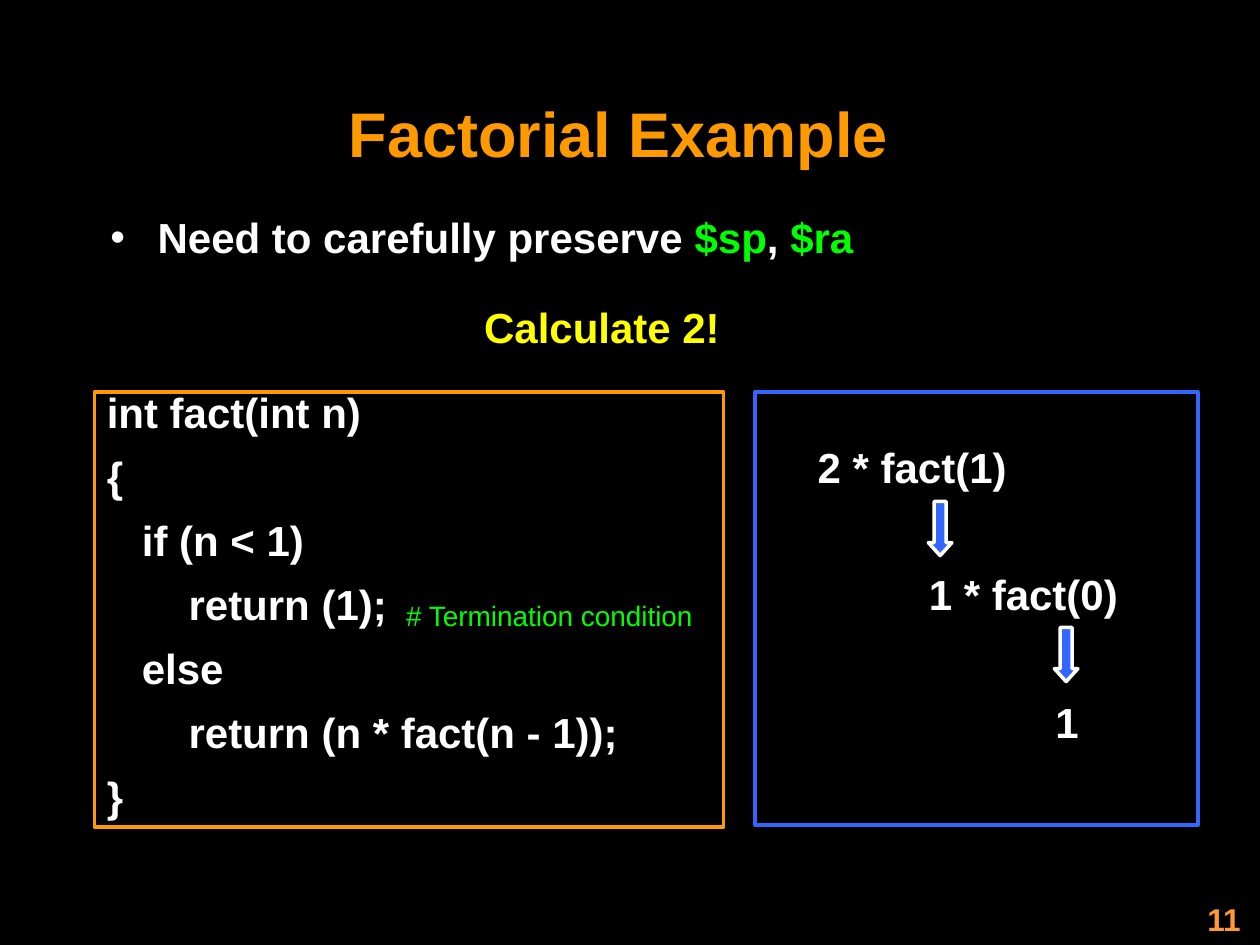
import pptx
import pptx.dml.color
import pptx.enum.shapes
import pptx.enum.text
import pptx.oxml
import pptx.oxml.ns
import pptx.util

Pt = pptx.util.Pt
ALIGN = pptx.enum.text.PP_ALIGN
ANCHOR = pptx.enum.text.MSO_ANCHOR
SHAPE = pptx.enum.shapes.MSO_SHAPE
COLORS = {
    "background": "000000",
    "title": "FF9900",
    "text": "FFFFFF",
    "register": "00FF00",
    "heading": "FFFF00",
    "blue": "3366FF",
    "number": "FF9933",
}


def rgb(name):
    return pptx.dml.color.RGBColor.from_string(COLORS[name])


def set_attributes(target, values):
    for name, value in values.items():
        setattr(target, name, value)


class SlideBuilder:
    font_name = "Arial"
    line_width = Pt(2)

    def __init__(self, presentation):
        self.slide = presentation.slides.add_slide(presentation.slide_layouts[6])
        fill = self.slide.background.fill
        fill.solid()
        fill.fore_color.rgb = rgb("background")

    def shape(self, kind, box, line, fill=None):
        shape = self.slide.shapes.add_shape(kind, *map(Pt, box))
        shape.shadow.inherit = False
        shape.line.color.rgb = rgb(line)
        shape.line.width = self.line_width
        if fill:
            shape.fill.solid()
            shape.fill.fore_color.rgb = rgb(fill)
        else:
            shape.fill.background()
        return shape

    def arrow(self, left, top):
        shape = self.shape(SHAPE.DOWN_ARROW, (left, top, 13.5, 31), "text", "blue")
        shape.adjustments[0], shape.adjustments[1] = 0.5, 0.55

    def fill_paragraph(self, paragraph, runs, size=24, bold=True, **layout):
        """Fill a paragraph from (text, colour name) pairs."""
        set_attributes(paragraph, layout)
        for text, color in runs:
            run = paragraph.add_run()
            run.text = text
            set_attributes(run.font, {"name": self.font_name, "size": Pt(size), "bold": bold})
            run.font.color.rgb = rgb(color)

    def text(self, box, runs, wrap=False, anchor=ANCHOR.TOP, **style):
        frame = self.slide.shapes.add_textbox(*map(Pt, box)).text_frame
        set_attributes(frame, {"word_wrap": wrap, "vertical_anchor": anchor})
        paragraph = frame.paragraphs[0]
        self.fill_paragraph(paragraph, runs, **style)
        return paragraph

    def label(self, box, text, color="text", space=15, **style):
        self.text(box, [(text, color)], alignment=ALIGN.CENTER, space_before=Pt(space), **style)

    def bullet(self, box, runs):
        paragraph = self.text(box, runs, wrap=True, space_before=Pt(6))
        properties = paragraph._p.get_or_add_pPr()
        properties.set("marL", str(Pt(27)))
        properties.set("indent", str(-Pt(27)))
        namespace = pptx.oxml.ns.nsdecls("a")
        for xml in (
            f'<a:buClr {namespace}><a:srgbClr val="{COLORS["text"]}"/></a:buClr>',
            f'<a:buFont {namespace} typeface="{self.font_name}"/>',
            f'<a:buChar {namespace} char="•"/>',
        ):
            properties.append(pptx.oxml.parse_xml(xml))

    def code(self, box, lines):
        """Draw a framed listing from (indent in points, text) pairs."""
        frame = self.shape(SHAPE.RECTANGLE, box, "title").text_frame
        set_attributes(frame, {"word_wrap": True, "vertical_anchor": ANCHOR.TOP})
        for index, (indent, text) in enumerate(lines):
            paragraph = frame.add_paragraph() if index else frame.paragraphs[0]
            self.fill_paragraph(paragraph, [(text, "text")], alignment=ALIGN.LEFT,
                                line_spacing=0.75, space_before=Pt(15))
            paragraph._p.get_or_add_pPr().set("marL", str(Pt(indent)))


def main():
    presentation = pptx.Presentation()
    set_attributes(presentation, {"slide_width": Pt(720), "slide_height": Pt(540)})
    builder = SlideBuilder(presentation)

    builder.text((52.5, 42, 612, 67), [("Factorial Example ", "title")], wrap=True,
                 anchor=ANCHOR.MIDDLE, size=36, alignment=ALIGN.CENTER)
    builder.bullet((56, 117.5, 612, 388), [
        ("Need to carefully preserve ", "text"), ("$sp", "register"),
        (", ", "text"), ("$ra", "register"),
    ])
    builder.code((54, 224, 359.5, 248.5), [
        (0, "int fact(int n)"),
        (0, "{"),
        (20, "if (n < 1)"),
        (46.7, "return (1);"),
        (20, "else"),
        (46.7, "return (n * fact(n - 1));"),
        (0, "}"),
    ])
    builder.label((224, 338.5, 180, 27), "# Termination condition", "register",
                  space=10, size=16, bold=False)
    builder.label((269.5, 169, 149, 36), "Calculate 2!", "heading")

    calls = [(460, 122.5, "2 * fact(1)"), (523.5, 122.5, "1 * fact(0)"), (596, 27.5, "1")]
    for step, (left, width, text) in enumerate(calls):
        builder.label((left, 248.5 + 73 * step, width, 36), text)
    for step in range(len(calls) - 1):
        builder.arrow(530.5 + 72 * step, 286.5 + 72 * step)
    builder.shape(SHAPE.RECTANGLE, (431.5, 224, 253, 247.5), "blue")

    builder.text((566, 510.5, 150, 36), [("11", "number")], wrap=True,
                 size=18, alignment=ALIGN.RIGHT)
    presentation.save("out.pptx")


if __name__ == "__main__":
    main()
